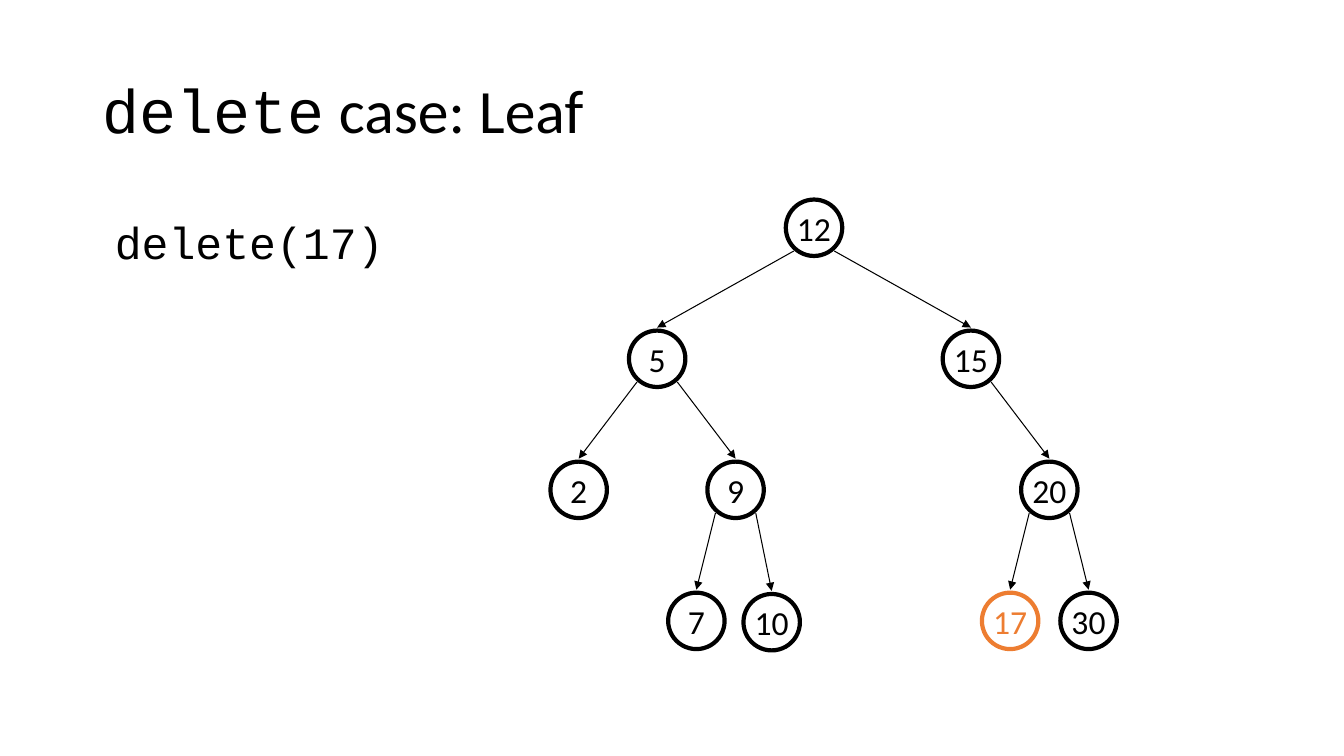
from lxml.etree import SubElement
from pptx import Presentation
from pptx.dml.color import RGBColor
from pptx.enum.shapes import MSO_CONNECTOR as Connector, MSO_SHAPE as Shape
from pptx.enum.text import MSO_ANCHOR as Anchor, PP_ALIGN as Align
from pptx.oxml.ns import qn
from pptx.util import Inches, Pt

TITLE = [("delete", "Courier New"), (" case: Leaf", "Calibri")]
CALL = "delete(17)"
# value: (column, row, parent)
TREE = {
    12: (6, 0, None),
    5: (2, 1, 12),
    15: (10, 1, 12),
    2: (0, 2, 5),
    9: (4, 2, 5),
    20: (12, 2, 15),
    7: (3, 3, 9),
    10: (4.92, 3.01, 9),
    17: (11, 3, 20),
    30: (13, 3, 20),
}
DELETED = 17

BLACK = RGBColor(0, 0, 0)
ORANGE = RGBColor(0xED, 0x7D, 0x31)

LEFT, TOP = 5.74, 2.26  # centre of column 0, row 0
COL, ROW = 0.389, 1.3
NODE = 0.56
EXIT_X, EXIT_Y = 0.2, 0.23  # where an arrow leaves its parent
ENTRY_Y = 0.31  # where it stops above its child


def add_run(p, text, font="Calibri", size=24, color=BLACK):
    r = p.add_run()
    r.text = text
    r.font.name = font
    r.font.size = Pt(size)
    r.font.color.rgb = color


def centre(value):
    col, row, _ = TREE[value]
    return LEFT + col * COL, TOP + row * ROW


def add_node(slide, value):
    x, y = centre(value)
    color = ORANGE if value == DELETED else BLACK
    s = slide.shapes.add_shape(Shape.OVAL, Inches(x - NODE / 2), Inches(y - NODE / 2),
                               Inches(NODE), Inches(NODE))
    s.shadow.inherit = False
    s.fill.background()
    s.line.color.rgb = color
    s.line.width = Pt(3)
    tf = s.text_frame
    tf.word_wrap = False
    tf.vertical_anchor = Anchor.MIDDLE
    p = tf.paragraphs[0]
    p.alignment = Align.CENTER
    add_run(p, str(value), color=color)


def add_arrow(slide, parent, child):
    px, py = centre(parent)
    cx, cy = centre(child)
    side = EXIT_X if cx > px else -EXIT_X
    s = slide.shapes.add_connector(Connector.STRAIGHT, Inches(px + side), Inches(py + EXIT_Y),
                                   Inches(cx), Inches(cy - ENTRY_Y))
    s.line.color.rgb = BLACK
    s.line.width = Pt(0.75)
    SubElement(s.line._get_or_add_ln(), qn("a:tailEnd"), type="triangle")
    SubElement(s._element.spPr, qn("a:effectLst"))


def main():
    prs = Presentation()
    prs.slide_width, prs.slide_height = Inches(13.33), Inches(7.5)
    slide = prs.slides.add_slide(prs.slide_layouts[5])

    title = slide.shapes.title
    title.left, title.top = Inches(0.92), Inches(0.4)
    title.width, title.height = Inches(11.5), Inches(1.45)
    title.text_frame.vertical_anchor = Anchor.MIDDLE
    p = title.text_frame.paragraphs[0]
    p.alignment = Align.LEFT
    p.line_spacing = 0.9
    for text, font in TITLE:
        add_run(p, text, font=font, size=44)

    box = slide.shapes.add_textbox(Inches(1.04), Inches(2.08), Inches(2.9), Inches(0.64))
    box.text_frame.word_wrap = False
    add_run(box.text_frame.paragraphs[0], CALL, font="Courier New", size=32)

    for value, (_, _, parent) in TREE.items():
        add_node(slide, value)
        if parent is not None:
            add_arrow(slide, parent, value)

    prs.save("out.pptx")


if __name__ == "__main__":
    main()
